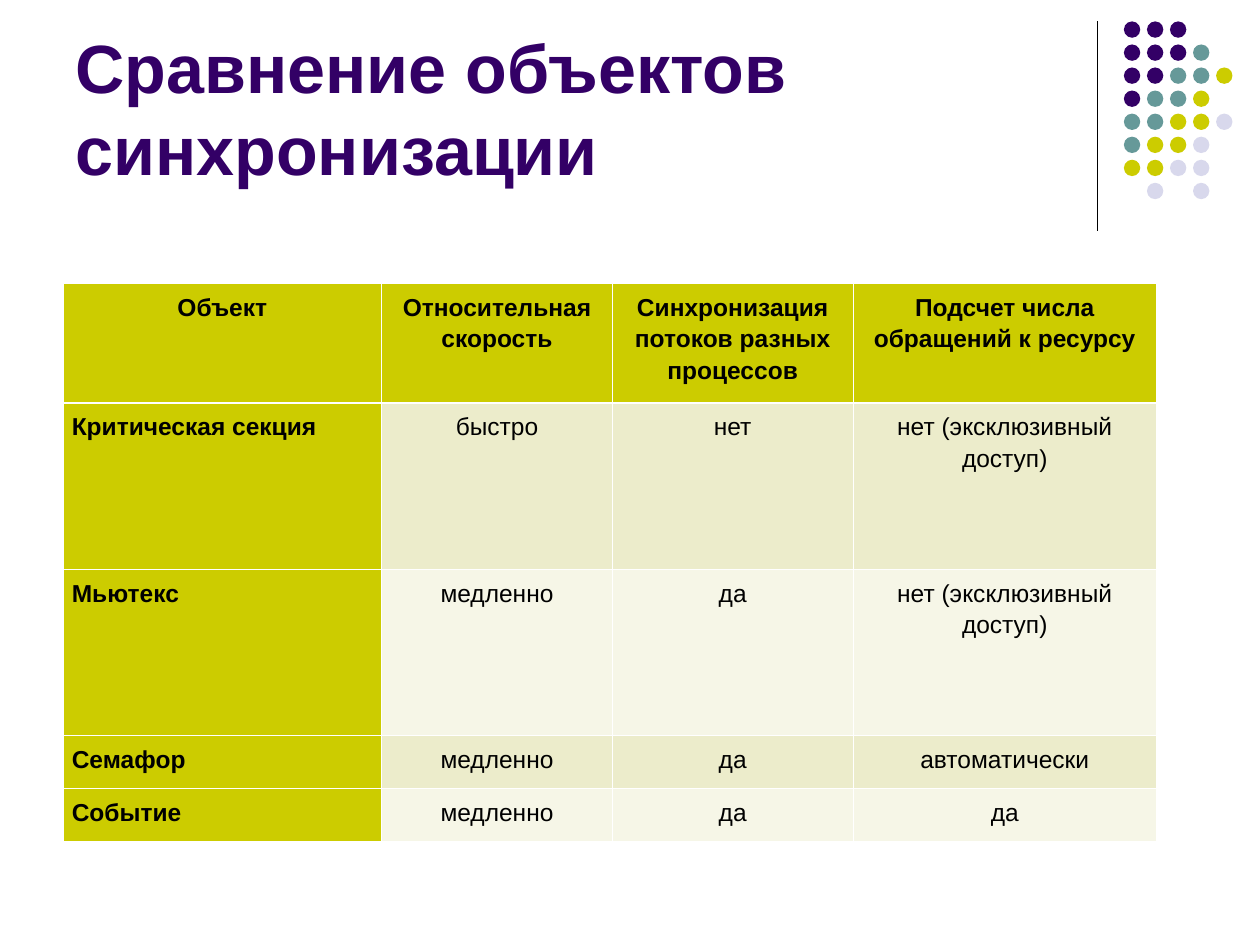
from dataclasses import dataclass

from lxml import etree
from pptx import Presentation
from pptx.dml.color import RGBColor
from pptx.enum.shapes import MSO_CONNECTOR, MSO_SHAPE
from pptx.enum.text import MSO_ANCHOR, MSO_AUTO_SIZE, PP_ALIGN
from pptx.oxml.ns import qn
from pptx.util import Inches, Pt

LINE, OVAL = MSO_CONNECTOR.STRAIGHT, MSO_SHAPE.OVAL
BOTTOM, TOP = MSO_ANCHOR.BOTTOM, MSO_ANCHOR.TOP
NO_FIT = MSO_AUTO_SIZE.NONE
LEFT, CENTER, JUSTIFY = PP_ALIGN.LEFT, PP_ALIGN.CENTER, PP_ALIGN.JUSTIFY

FONT = "Arial"
COLORS = {
    "purple": "330066",
    "teal": "669999",
    "olive": "CCCC00",
    "lilac": "D8D8EC",
    "dark band": "ECECCB",
    "light band": "F6F6E7",
    "black": "000000",
    "white": "FFFFFF",
}
# One letter per dot: the first letter of its colour
DOTS = ["ppp", "pppt", "pptto", "ptto", "ttool", "tool", "ooll", " l l"]
DOT_KEYS = {"p": "purple", "t": "teal", "o": "olive", "l": "lilac"}
DOT_SIZE, DOT_STEP = 0.13, 0.183

COL_WIDTHS = [2.53, 1.83, 1.91, 2.41]
HEADS = [
    "Объект",
    "Относительная скорость",
    "Синхронизация потоков разных процессов",
    "Подсчет числа обращений к ресурсу",
]


@dataclass
class Row:
    height: float
    texts: list[str]


ROWS = [
    Row(0.95, HEADS),
    Row(1.32, ["Критическая секция", "быстро", "нет", "нет (эксклюзивный доступ)"]),
    Row(1.32, ["Мьютекс", "медленно", "да", "нет (эксклюзивный доступ)"]),
    Row(0.42, ["Семафор", "медленно", "да", "автоматически"]),
    Row(0.42, ["Событие", "медленно", "да", "да"]),
]


def color(key: str) -> RGBColor:
    return RGBColor.from_string(COLORS[key])


def style(para, size: float, key: str, bold: bool) -> None:
    font = para.font
    font.name, font.size, font.bold = FONT, Pt(size), bold
    font.color.rgb = color(key)


def add_rule(slide) -> None:
    rule = slide.shapes.add_connector(
        LINE, Inches(8.71), Inches(0.17), Inches(8.71), Inches(1.83))
    rule.line.color.rgb = color("black")
    rule.line.width = Pt(0.75)
    etree.SubElement(rule._element.spPr, qn("a:effectLst"))


def add_dots(slide) -> None:
    group = slide.shapes.add_group_shape()
    for row, keys in enumerate(DOTS):
        for col, key in enumerate(keys):
            if key == " ":
                continue
            dot = group.shapes.add_shape(
                OVAL, Inches(8.92 + col * DOT_STEP), Inches(0.17 + row * DOT_STEP),
                Inches(DOT_SIZE), Inches(DOT_SIZE))
            dot.shadow.inherit = False
            dot.fill.solid()
            dot.fill.fore_color.rgb = color(DOT_KEYS[key])
            dot.line.fill.background()


def set_title(slide, text: str) -> None:
    title = slide.shapes.title
    title.left, title.top = Inches(0.5), Inches(0.13)
    title.width, title.height = Inches(8.25), Inches(1.42)
    frame = title.text_frame
    frame.text = text
    frame.word_wrap = True
    frame.auto_size = NO_FIT
    frame.vertical_anchor = BOTTOM
    para = frame.paragraphs[0]
    para.alignment = LEFT
    style(para, 39, "purple", True)


def set_borders(cell, top: float, bottom: float) -> None:
    """Put white borders around a cell, ahead of its fill as the schema asks."""
    props = cell._tc.get_or_add_tcPr()
    sides = {"lnL": 0.45, "lnR": 0.45, "lnT": top, "lnB": bottom}
    for index, (tag, width) in enumerate(sides.items()):
        edge = etree.Element(qn(f"a:{tag}"), w=str(Pt(width)))
        fill = etree.SubElement(edge, qn("a:solidFill"))
        etree.SubElement(fill, qn("a:srgbClr"), val=COLORS["white"])
        props.insert(index, edge)


def fill_cell(cell, text: str, row: int, col: int) -> None:
    head = row == 0 or col == 0
    band = "dark band" if row % 2 else "light band"
    cell.fill.solid()
    cell.fill.fore_color.rgb = color("olive" if head else band)
    cell.margin_left = cell.margin_right = Inches(0.07)
    cell.margin_top = cell.margin_bottom = Inches(0.05)
    cell.vertical_anchor = TOP
    cell.text = text
    para = cell.text_frame.paragraphs[0]
    para.alignment = JUSTIFY if row and col == 0 else CENTER
    para.line_spacing = 1.15
    style(para, 14, "black", head)
    set_borders(cell, 1.47 if row == 1 else 0.45, 1.47 if row == 0 else 0.45)


def add_grid(slide) -> None:
    frame = slide.shapes.add_table(
        len(ROWS), len(COL_WIDTHS), Inches(0.5), Inches(2.25),
        Inches(sum(COL_WIDTHS)), Inches(sum(row.height for row in ROWS)))
    table = frame.table
    for col, width in enumerate(COL_WIDTHS):
        table.columns[col].width = Inches(width)
    for index, row in enumerate(ROWS):
        table.rows[index].height = Inches(row.height)
        for col, text in enumerate(row.texts):
            fill_cell(table.cell(index, col), text, index, col)


def main() -> None:
    deck = Presentation()
    deck.slide_width, deck.slide_height = Inches(10), Inches(7.5)
    slide = deck.slides.add_slide(deck.slide_layouts[5])
    add_rule(slide)
    add_dots(slide)
    set_title(slide, "Сравнение объектов синхронизации")
    add_grid(slide)
    deck.save("out.pptx")


if __name__ == "__main__":
    main()
